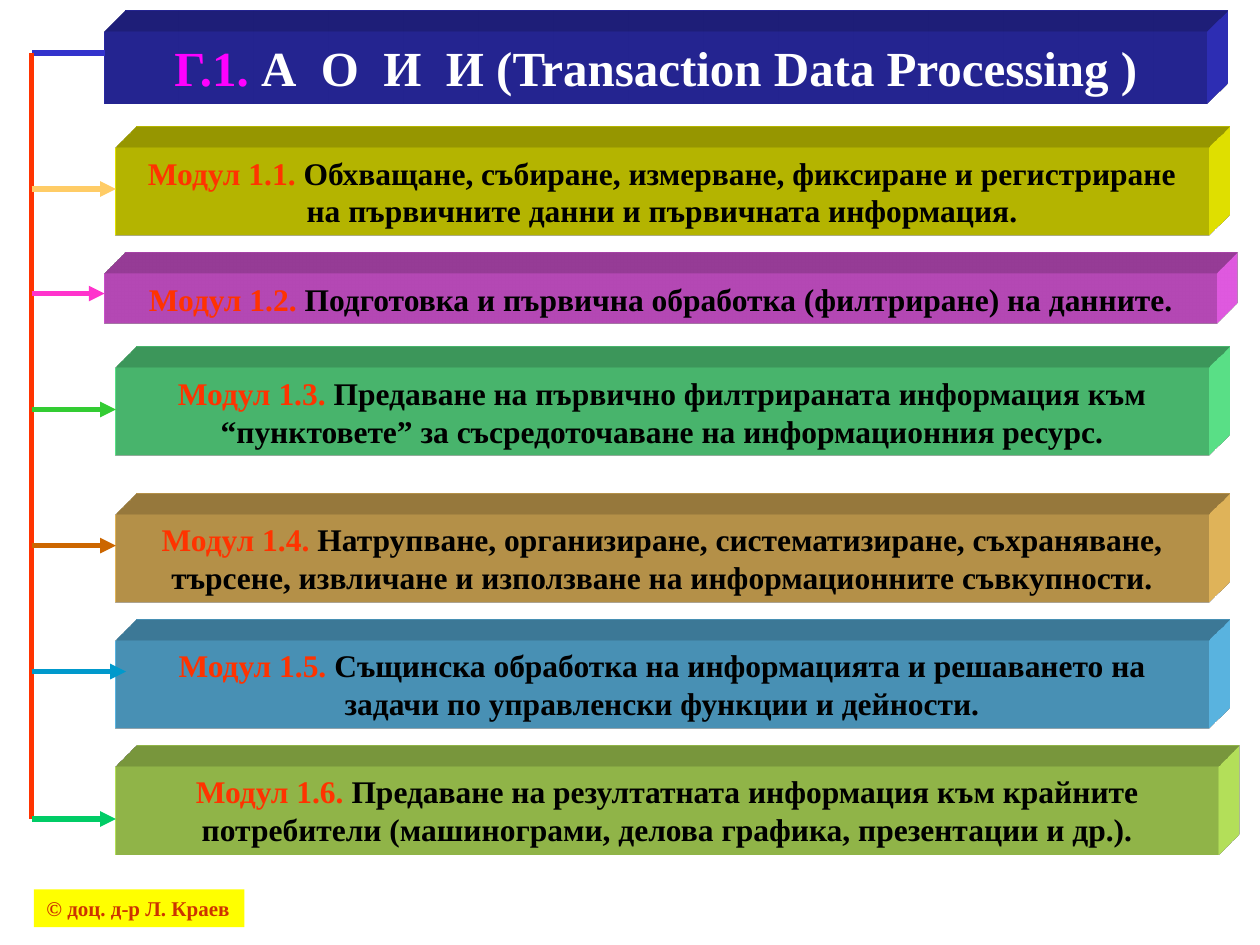
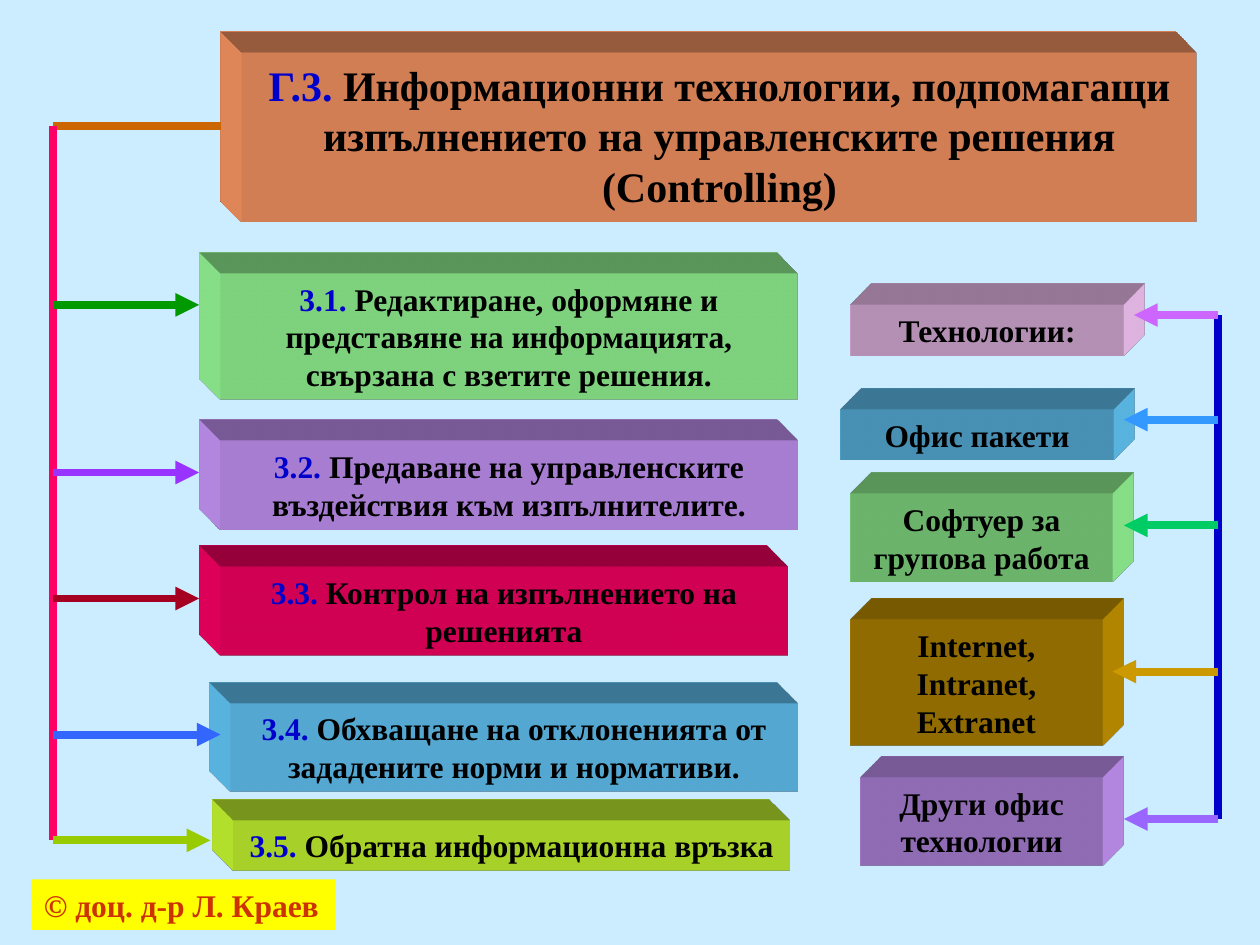
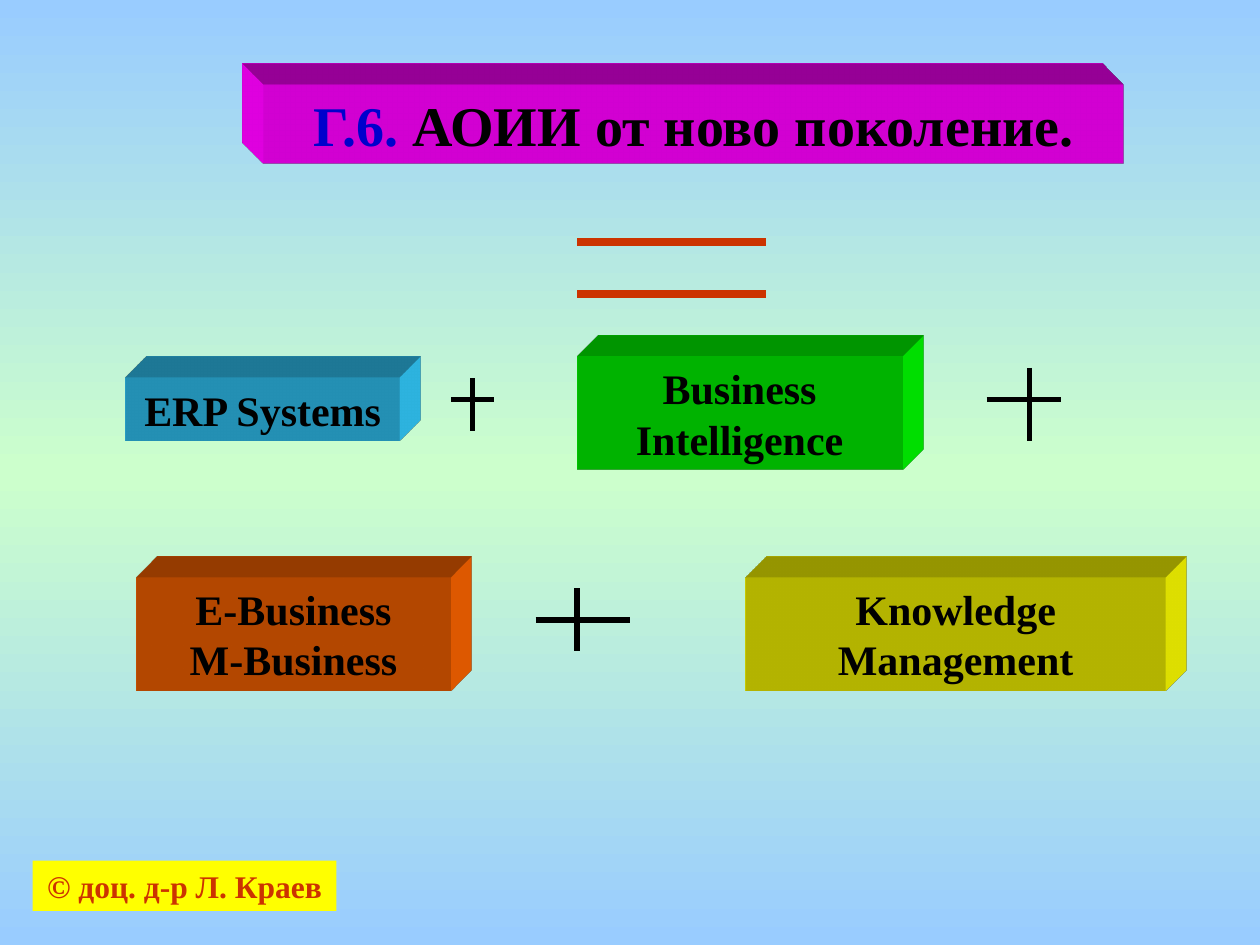
"""Builds three slides of linked, extruded blocks on information processing."""
from copy import deepcopy

from lxml import etree
from pptx import Presentation
from pptx.dml.color import RGBColor
from pptx.enum.shapes import MSO_CONNECTOR, MSO_SHAPE
from pptx.enum.text import MSO_ANCHOR, MSO_AUTO_SIZE, PP_ALIGN
from pptx.oxml import parse_xml
from pptx.oxml.ns import nsdecls, qn
from pptx.util import Inches, Pt

RECTANGLE = MSO_SHAPE.RECTANGLE
STRAIGHT = MSO_CONNECTOR.STRAIGHT
LEFT, CENTER = PP_ALIGN.LEFT, PP_ALIGN.CENTER
TOP = MSO_ANCHOR.TOP
GROW, FIXED = MSO_AUTO_SIZE.SHAPE_TO_FIT_TEXT, MSO_AUTO_SIZE.NONE
TITLE_ONLY = 5
FONT = "Times New Roman"
TOP_LEFT, TOP_RIGHT = "legacyObliqueTopLeft", "legacyObliqueTopRight"
EXTRUSION_DEPTH = 430200

BLACK = RGBColor(0x00, 0x00, 0x00)
WHITE = RGBColor(0xFF, 0xFF, 0xFF)
NAVY = RGBColor(0x33, 0x33, 0xCC)
BLUE = RGBColor(0x00, 0x00, 0xCC)
ROYAL = RGBColor(0x33, 0x66, 0xFF)
AZURE = RGBColor(0x33, 0x99, 0xFF)
SKY = RGBColor(0x66, 0xCC, 0xFF)
CYAN = RGBColor(0x33, 0xCC, 0xFF)
TEAL = RGBColor(0x00, 0x99, 0xCC)
PALE_BLUE = RGBColor(0xCC, 0xEC, 0xFF)
GRADIENT_BLUE = RGBColor(0x99, 0xCC, 0xFF)
GRADIENT_GREEN = RGBColor(0xCC, 0xFF, 0xCC)
YELLOW = RGBColor(0xFF, 0xFF, 0x00)
SAND = RGBColor(0xFF, 0xCC, 0x66)
GOLD = RGBColor(0xCC, 0x99, 0x00)
BROWN = RGBColor(0xCC, 0x66, 0x00)
ORANGE = RGBColor(0xFF, 0x66, 0x00)
SALMON = RGBColor(0xFF, 0x99, 0x66)
SCARLET = RGBColor(0xFF, 0x33, 0x00)
BRICK = RGBColor(0xCC, 0x33, 0x00)
CRIMSON = RGBColor(0xFF, 0x00, 0x66)
MAROON = RGBColor(0xA5, 0x00, 0x21)
MAGENTA = RGBColor(0xFF, 0x00, 0xFF)
PINK = RGBColor(0xFF, 0x66, 0xFF)
HOT_PINK = RGBColor(0xFF, 0x33, 0xCC)
PALE_PINK = RGBColor(0xFF, 0xCC, 0xFF)
ORCHID = RGBColor(0xCC, 0x66, 0xFF)
LILAC = RGBColor(0xCC, 0x99, 0xFF)
VIOLET = RGBColor(0x99, 0x33, 0xFF)
IRIS = RGBColor(0x99, 0x66, 0xFF)
MINT = RGBColor(0x66, 0xFF, 0x99)
PALE_GREEN = RGBColor(0x99, 0xFF, 0x99)
EMERALD = RGBColor(0x00, 0xCC, 0x66)
GREEN = RGBColor(0x33, 0xCC, 0x33)
DARK_GREEN = RGBColor(0x00, 0x99, 0x00)
BRIGHT_GREEN = RGBColor(0x00, 0xFF, 0x00)
LIME = RGBColor(0xCC, 0xFF, 0x66)
ACID = RGBColor(0xCC, 0xFF, 0x33)
OLIVE = RGBColor(0x99, 0xCC, 0x00)

AUTHOR = "© доц. д-р Л. Краев"

MODULES_TITLE = ("Г.1.", " А  О  И  И (Transaction Data Processing )")
MODULES = [
    ("Модул 1.1.", " Обхващане, събиране, измерване, фиксиране и регистриране на "
     "първичните данни и първичната информация.",
     (0.92, 1.17, 8.67, 0.7), YELLOW, (1.5, 0.92, SAND)),
    ("Модул 1.2.", " Подготовка и първична обработка (филтриране) на данните.",
     (0.83, 2.17, 8.83, 0.4), PINK, (2.33, 0.83, HOT_PINK)),
    ("Модул 1.3.", " Предаване на първично филтрираната информация към “пунктовете” "
     "за съсредоточаване на информационния ресурс.",
     (0.92, 2.92, 8.67, 0.7), MINT, (3.25, 0.92, GREEN)),
    ("Модул 1.4.", " Натрупване, организиране, систематизиране, съхраняване, търсене, "
     "извличане и използване на информационните съвкупности.",
     (0.92, 4.08, 8.67, 0.7), SAND, (4.33, 0.92, BROWN)),
    ("Модул 1.5.", " Същинска обработка на информацията и решаването на задачи по "
     "управленски функции и дейности.",
     (0.92, 5.08, 8.67, 0.7), SKY, (5.33, 1, TEAL)),
    ("Модул 1.6.", " Предаване на резултатната информация към крайните потребители "
     "(машинограми, делова графика, презентации и др.).",
     (0.92, 6.08, 8.75, 0.7), LIME, (6.5, 0.92, EMERALD)),
]

CONTROL_TITLE = ("Г.3.", " Информационни технологии, подпомагащи изпълнението на "
                 "управленските решения\n(Controlling)")
CONTROL_STEPS = [
    ("3.1.", " Редактиране, оформяне и представяне на информацията, свързана с "
     "взетите решения.",
     (1.75, 2.17, 4.58, 1), PALE_GREEN, (2.42, 1.58, DARK_GREEN)),
    ("3.2.", " Предаване на управленските въздействия към изпълнителите.",
     (1.75, 3.5, 4.58, 0.7), LILAC, (3.75, 1.58, VIOLET)),
    ("3.3.", " Контрол на изпълнението на решенията",
     (1.75, 4.5, 4.5, 0.7), CRIMSON, (4.75, 1.58, MAROON)),
    ("3.4.", " Обхващане на отклоненията от зададените норми и нормативи.",
     (1.83, 5.58, 4.5, 0.7), SKY, (5.83, 1.75, ROYAL)),
    ("3.5.", " Обратна информационна връзка",
     (1.85, 6.51, 4.42, 0.4), ACID, (6.67, 1.67, OLIVE)),
]
TECHNOLOGIES = [
    ("", "Технологии:", (6.75, 2.42, 2.17, 0.4), PALE_PINK, (2.5, 9, ORCHID)),
    ("", "Офис пакети", (6.67, 3.25, 2.17, 0.4), SKY, (3.33, 8.92, AZURE)),
    ("", "Софтуер за групова работа", (6.75, 3.92, 2.08, 0.7), PALE_GREEN,
     (4.17, 8.92, EMERALD)),
    ("", "Internet, Intranet, Extranet", (6.75, 4.92, 2, 1), GOLD, (5.33, 8.83, GOLD)),
    ("", "Други офис технологии", (6.83, 6.17, 1.92, 0.7), LILAC, (6.5, 8.92, IRIS)),
]

GENERATION_TITLE = ("Г.6. ", "АОИИ от ново поколение.")
COMPONENTS = [
    ("ERP Systems", (1, 3, 2.17, 0.5), CYAN),
    ("Business Intelligence", (4.58, 2.83, 2.58, 0.9), BRIGHT_GREEN),
    ("E-Business\nM-Business", (1.08, 4.58, 2.5, 0.9), ORANGE),
    ("Knowledge Management", (5.92, 4.58, 3.33, 0.9), YELLOW),
]
EQUALS_ROWS = [1.92, 2.33]
PLUS_SIGNS = [
    ((3.58, 3.92, 3.17), (3.75, 3, 3.42)),
    ((7.83, 8.42, 3.17), (8.17, 2.92, 3.5)),
    ((4.25, 5, 4.92), (4.58, 4.67, 5.17)),
]


def write(shape, parts, size, align=CENTER, wrap=True, fit=GROW):
    """Write (text, colour) parts as one bold paragraph."""
    frame = shape.text_frame
    frame.word_wrap = wrap
    frame.auto_size = fit
    frame.vertical_anchor = TOP
    paragraph = frame.paragraphs[0]
    paragraph.alignment = align
    for text, color in parts:
        for index, line in enumerate(text.split("\n")):
            if index:
                paragraph.add_line_break()
            if line:
                run = paragraph.add_run()
                run.text = line
                run.font.name, run.font.size, run.font.bold = FONT, Pt(size), True
                run.font.color.rgb = color


def add_box(slide, bounds, color):
    """Add a plain filled rectangle."""
    box = slide.shapes.add_shape(RECTANGLE, *map(Inches, bounds))
    box.shadow.inherit = False
    box.fill.solid()
    box.fill.fore_color.rgb = color
    box.line.fill.background()
    return box


def add_block(slide, bounds, color, camera):
    """Add a rectangle extruded towards the camera's corner."""
    block = add_box(slide, bounds, color)
    properties = block._element.spPr
    properties.append(parse_xml(
        f'<a:scene3d {nsdecls("a")}><a:camera prst="{camera}"/>'
        '<a:lightRig rig="legacyFlat3" dir="b"/></a:scene3d>'))
    properties.append(parse_xml(
        f'<a:sp3d {nsdecls("a")} extrusionH="{EXTRUSION_DEPTH}" prstMaterial="legacyMatte">'
        '<a:bevelT w="13500" h="13500" prst="angle"/>'
        '<a:bevelB w="13500" h="13500" prst="angle"/>'
        f'<a:extrusionClr><a:srgbClr val="{color}"/></a:extrusionClr></a:sp3d>'))
    return block


def add_line(slide, start, end, color, width, arrow=False):
    """Draw a straight line, with an arrowhead at its end if wanted."""
    line = slide.shapes.add_connector(STRAIGHT, *map(Inches, start + end))
    line.line.color.rgb = color
    line.line.width = Pt(width)
    if arrow:
        etree.SubElement(line.line._get_or_add_ln(), qn("a:tailEnd"), type="triangle")
    etree.SubElement(line._element.spPr, qn("a:effectLst"))


def add_title(slide, bounds, parts, size, color, camera):
    """Put the slide title on an extruded banner."""
    add_block(slide, bounds, color, camera)
    title = slide.shapes.title
    title.left, title.top, title.width, title.height = map(Inches, bounds)
    slide.shapes._spTree.append(title._element)
    write(title, parts, size, fit=FIXED)


def add_items(slide, items, number_color, camera):
    """Add a column of numbered blocks."""
    for number, text, bounds, color, _ in items:
        block = add_block(slide, bounds, color, camera)
        write(block, [(number, number_color), (text, BLACK)], 18)


def add_branches(slide, items, trunk_x, trunk_top, trunk_color, width):
    """Draw a trunk and an arrow from it to each block."""
    arrows = [item[-1] for item in items]
    add_line(slide, (trunk_x, trunk_top), (trunk_x, arrows[-1][0]), trunk_color, width)
    for y, tip_x, color in arrows:
        add_line(slide, (trunk_x, y), (tip_x, y), color, width, arrow=True)


def add_author(slide, bounds, size, align=LEFT):
    """Add the author label."""
    write(add_box(slide, bounds, YELLOW), [(AUTHOR, BRICK)], size, align, wrap=False)


def set_background(slide, color):
    """Fill the slide with one colour."""
    slide.background.fill.solid()
    slide.background.fill.fore_color.rgb = color


def set_gradient(slide, colors):
    """Fill the slide with evenly spaced vertical gradient stops."""
    fill = slide.background.fill
    fill.gradient()
    fill.gradient_angle = 90
    stops = next(slide.element.iter(qn("a:gsLst")))
    stops.insert(1, deepcopy(stops[0]))
    for index, (stop, color) in enumerate(zip(fill.gradient_stops, colors)):
        stop.color.rgb = color
        stop.position = index / (len(colors) - 1)


def build_modules(slide):
    """Build the transaction processing slide."""
    set_background(slide, WHITE)
    number, text = MODULES_TITLE
    add_title(slide, (0.83, 0.25, 8.75, 0.57), [(number, MAGENTA), (text, WHITE)],
              28, NAVY, TOP_RIGHT)
    add_items(slide, MODULES, SCARLET, TOP_RIGHT)
    add_author(slide, (0.27, 7.06, 1.67, 0.3), 12)
    add_line(slide, (0.83, 0.42), (0.25, 0.42), NAVY, 3)
    add_branches(slide, MODULES, 0.25, 0.42, SCARLET, 3)


def build_control(slide):
    """Build the controlling slide."""
    set_background(slide, PALE_BLUE)
    number, text = CONTROL_TITLE
    add_title(slide, (1.92, 0.42, 7.58, 1.34), [(number, BLUE), (text, BLACK)],
              24, SALMON, TOP_LEFT)
    add_items(slide, CONTROL_STEPS, BLUE, TOP_LEFT)
    add_author(slide, (0.25, 6.98, 2.41, 0.4), 18)
    add_line(slide, (1.75, 1), (0.42, 1), BROWN, 4.5)
    add_branches(slide, CONTROL_STEPS, 0.42, 1, CRIMSON, 4.5)
    add_items(slide, TECHNOLOGIES, BLACK, TOP_RIGHT)
    add_branches(slide, TECHNOLOGIES, 9.67, 2.5, BLUE, 4.5)


def build_generation(slide):
    """Build the new generation slide."""
    set_gradient(slide, [GRADIENT_BLUE, GRADIENT_GREEN, GRADIENT_BLUE])
    number, text = GENERATION_TITLE
    add_title(slide, (2.09, 0.67, 6.83, 0.63), [(number, BLUE), (text, BLACK)],
              32, MAGENTA, TOP_LEFT)
    add_author(slide, (0.26, 6.83, 2.41, 0.4), 18, CENTER)
    for y in EQUALS_ROWS:
        add_line(slide, (4.58, y), (6.08, y), BRICK, 4.5)
    for name, bounds, color in COMPONENTS:
        write(add_block(slide, bounds, color, TOP_RIGHT), [(name, BLACK)], 24)
    for (left, right, y), (x, top, bottom) in PLUS_SIGNS:
        add_line(slide, (left, y), (right, y), BLACK, 3)
        add_line(slide, (x, top), (x, bottom), BLACK, 3)


def main():
    """Build and save the presentation."""
    deck = Presentation()
    deck.slide_width, deck.slide_height = Inches(10), Inches(7.5)
    for build in (build_modules, build_control, build_generation):
        build(deck.slides.add_slide(deck.slide_layouts[TITLE_ONLY]))
    deck.save("out.pptx")


if __name__ == "__main__":
    main()
